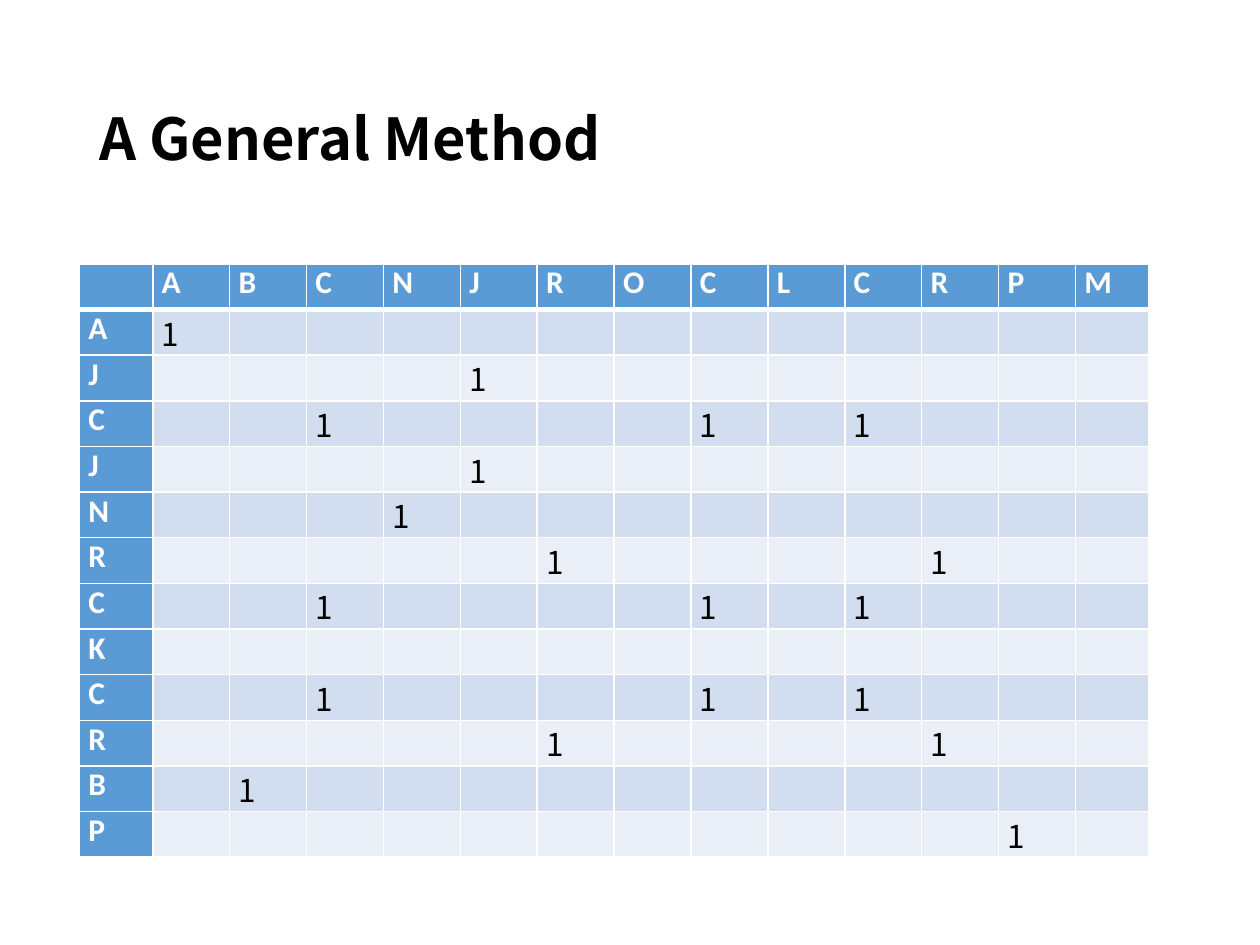
import dataclasses

import pptx
import pptx.dml.color
import pptx.enum.text
import pptx.oxml
import pptx.oxml.ns
import pptx.util

Cm = pptx.util.Cm
Pt = pptx.util.Pt

COLUMN_LETTERS = "ABCNJROCLCRPM"
ROW_LETTERS = "AJCJNRCKCRBP"


@dataclasses.dataclass(frozen=True)
class Theme:
    ink: str = "000000"
    paper: str = "FFFFFF"
    header: str = "5B9BD5"
    bands: tuple = ("D2DEEF", "EAEFF7")
    title_font: str = "Noto Sans CJK KR"
    header_font: str = "Calibri"
    mark_font: str = "Noto Sans CJK SC"
    title_size: int = 33
    cell_size: int = 18
    thin: int = 1
    thick: int = 3


def write_text(frame, text, *, font, size, color, bold=False, spacing=None):
    para = frame.paragraphs[0]
    if spacing:
        para.line_spacing = spacing
    span = para.add_run()
    span.text = text
    span.font.name = font
    span.font.size = Pt(size)
    span.font.bold = bold
    span.font.color.rgb = pptx.dml.color.RGBColor.from_string(color)


class SlideBuilder:
    """Draw titles and letter-matching tables on one slide in one theme."""

    def __init__(self, page, theme):
        self.page = page
        self.theme = theme

    def title(self, text, left, top, width, height):
        box = self.page.shapes.add_textbox(Cm(left), Cm(top), Cm(width), Cm(height))
        frame = box.text_frame
        frame.word_wrap = True
        frame.vertical_anchor = pptx.enum.text.MSO_ANCHOR.MIDDLE
        write_text(frame, text, font=self.theme.title_font, size=self.theme.title_size,
                   color=self.theme.ink, bold=True, spacing=0.9)

    def borders(self, cell, **widths):
        properties = cell._tc.get_or_add_tcPr()
        for side in "LRTB":
            width = Pt(widths.get(side, self.theme.thin))
            properties.append(pptx.oxml.parse_xml(
                f'<a:ln{side} {pptx.oxml.ns.nsdecls("a")} w="{width}"><a:solidFill>'
                f'<a:srgbClr val="{self.theme.paper}"/></a:solidFill></a:ln{side}>'))

    def cell(self, cell, text, fill, is_header, **widths):
        cell.margin_left = cell.margin_right = Cm(0.18)
        cell.margin_top = cell.margin_bottom = 0
        self.borders(cell, **widths)
        cell.fill.solid()
        cell.fill.fore_color.rgb = pptx.dml.color.RGBColor.from_string(fill)
        if text:
            theme = self.theme
            write_text(cell.text_frame, text, size=theme.cell_size, bold=is_header,
                       font=theme.header_font if is_header else theme.mark_font,
                       color=theme.paper if is_header else theme.ink)

    def match_table(self, row_letters, column_letters, left, top,
                    edge_width, column_width, row_height):
        widths = [edge_width] + [column_width] * (len(column_letters) - 1) + [edge_width]
        row_count = len(row_letters) + 1
        table = self.page.shapes.add_table(
            row_count, len(widths), Cm(left), Cm(top),
            Cm(sum(widths)), Cm(row_height * row_count)).table
        table.first_col = True
        for column, width in zip(table.columns, widths):
            column.width = Cm(width)
        for row in table.rows:
            row.height = Cm(row_height)
        for index, letter in enumerate(column_letters):
            self.cell(table.cell(0, index + 1), letter, self.theme.header, True,
                      B=self.theme.thick)
        self.cell(table.cell(0, 0), "", self.theme.header, True, B=self.theme.thick)
        for row, row_letter in enumerate(row_letters, 1):
            rule = {"T": self.theme.thick} if row == 1 else {}
            self.cell(table.cell(row, 0), row_letter, self.theme.header, True, **rule)
            band = self.theme.bands[(row - 1) % 2]
            for column, column_letter in enumerate(column_letters, 1):
                mark = "1" if row_letter == column_letter else ""
                self.cell(table.cell(row, column), mark, band, False, **rule)


def main():
    deck = pptx.Presentation()
    deck.slide_width, deck.slide_height = Cm(25.4), Cm(19.05)
    page = deck.slides.add_slide(deck.slide_layouts[6])
    builder = SlideBuilder(page, Theme())
    builder.title("A General Method", 1.75, 1.02, 21.9, 3.68)
    builder.match_table(ROW_LETTERS, COLUMN_LETTERS, left=1.6, top=5.32,
                        edge_width=1.48, column_width=1.55, row_height=0.92)
    deck.save("out.pptx")


if __name__ == "__main__":
    main()
